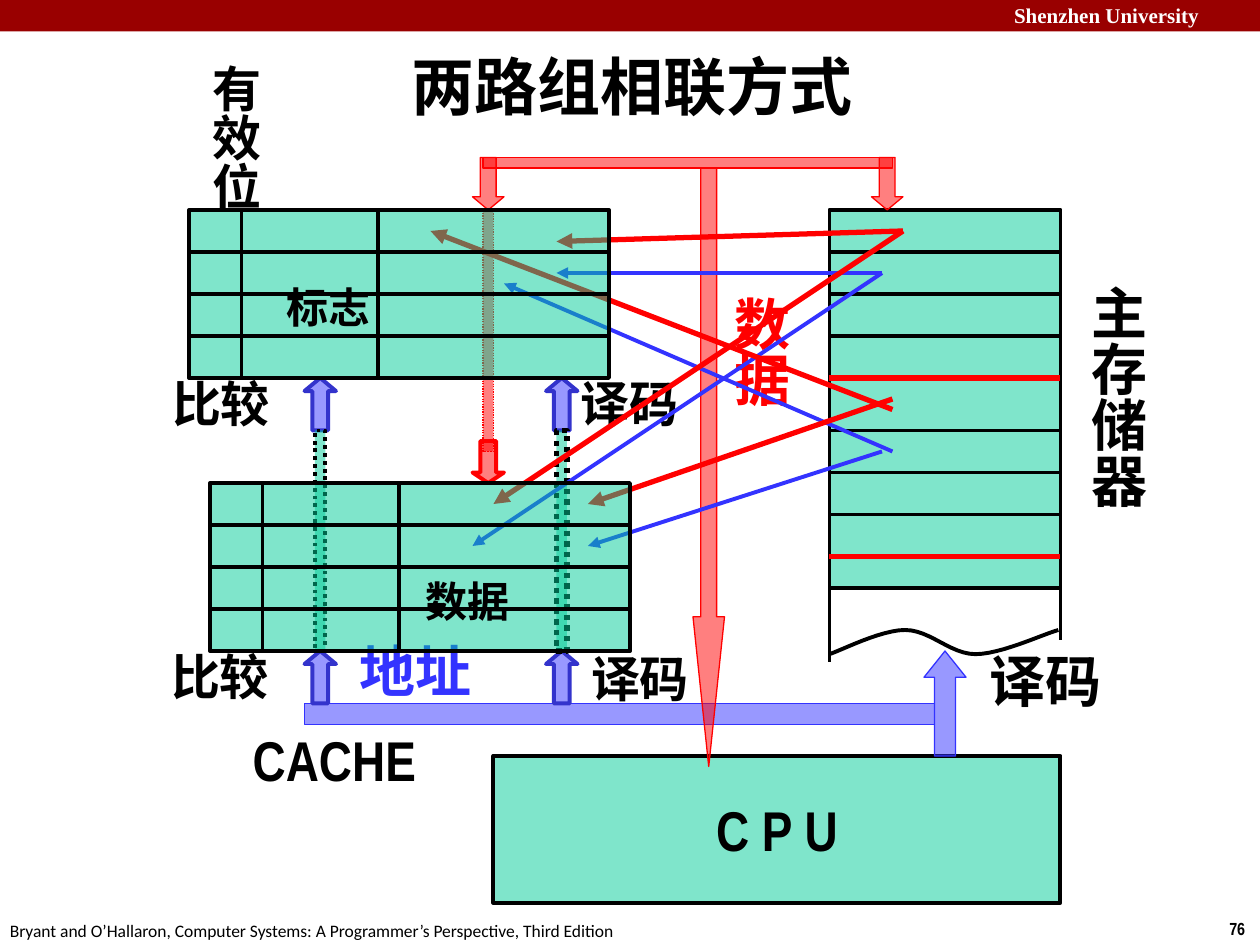
"""Build the slide on two-way set-associative cache mapping."""
import dataclasses

import pptx
import pptx.dml.color
import pptx.enum.dml
import pptx.enum.shapes
import pptx.enum.text
import pptx.oxml.ns
import pptx.util
from lxml import etree

SHAPE = pptx.enum.shapes.MSO_SHAPE
ALIGN = pptx.enum.text.PP_ALIGN
ANCHOR = pptx.enum.text.MSO_ANCHOR
FIT = pptx.enum.text.MSO_AUTO_SIZE
qn = pptx.oxml.ns.qn


@dataclasses.dataclass(frozen=True)
class Theme:
    ink: str = "000000"
    paper: str = "FFFFFF"
    banner: str = "990000"
    storage: str = "00CC99"
    address: str = "3333FF"
    address_edge: str = "3333CC"
    data: str = "FF0000"
    label_font: str = "Arial Narrow"
    body_font: str = "Calibri"
    banner_font: str = "Times New Roman"
    title: int = 36
    large: int = 32
    medium: int = 28
    small: int = 24
    banner_size: int = 12
    footer: int = 10
    hairline: float = 0.75
    rule: float = 2.25
    heavy: float = 3


class Diagram:
    columns, rows = 120, 90

    def __init__(self, deck, theme):
        self.theme = theme
        self.slide = deck.slides.add_slide(deck.slide_layouts[5])
        self.shapes = self.slide.shapes
        self.column = deck.slide_width / self.columns
        self.row = deck.slide_height / self.rows

    def point(self, x, y):
        return round(x * self.column), round(y * self.row)

    def area(self, x, y, width, height):
        return self.point(x, y) + self.point(width, height)

    def color(self, target, value):
        target.rgb = pptx.dml.color.RGBColor.from_string(value)

    def add_words(self, frame, words, size, color=None, font=None, bold=True, align=ALIGN.CENTER):
        paragraph = frame.paragraphs[0]
        paragraph.alignment = align
        run = paragraph.add_run()
        run.text = words
        run.font.size = pptx.util.Pt(size)
        run.font.name = font or self.theme.label_font
        run.font.bold = bold
        self.color(run.font.color, color or self.theme.ink)

    def title(self, words, area):
        heading = self.shapes.title
        heading.left, heading.top, heading.width, heading.height = self.area(*area)
        frame = heading.text_frame
        frame.auto_size = FIT.NONE
        frame.vertical_anchor = ANCHOR.MIDDLE
        self.add_words(frame, words, self.theme.title, font=self.theme.body_font, align=ALIGN.LEFT)

    def label(self, words, area, size, wrap=False, vertical=False, anchor=ANCHOR.MIDDLE, **style):
        frame = self.shapes.add_textbox(*self.area(*area)).text_frame
        frame.word_wrap = wrap
        frame.auto_size = FIT.SHAPE_TO_FIT_TEXT
        frame.vertical_anchor = anchor
        if vertical:
            frame._txBody.bodyPr.set("vert", "eaVert")
        self.add_words(frame, words, size, **style)

    def block(self, area, fill, edge=None, width=None, kind=SHAPE.RECTANGLE,
              head=None, dotted=False, opacity=50):
        shape = self.shapes.add_shape(kind, *self.area(*area))
        shape.shadow.inherit = False
        shape.fill.solid()
        self.color(shape.fill.fore_color, fill)
        if opacity < 100:
            tint = shape._element.spPr.find(qn("a:solidFill"))[0]
            etree.SubElement(tint, qn("a:alpha")).set("val", str(opacity * 1000))
        if edge:
            self.stroke(shape.line, edge, width or self.theme.rule)
        else:
            shape.line.fill.background()
        if dotted:
            shape.line.dash_style = pptx.enum.dml.MSO_LINE.ROUND_DOT
        if head is not None:
            shape.adjustments[0], shape.adjustments[1] = 0.5, head
        return shape

    def stroke(self, line, color, width):
        line.fill.solid()
        self.color(line.color, color)
        line.width = pptx.util.Pt(width)

    def line(self, start, end, color=None, width=None, arrow=False):
        straight = pptx.enum.shapes.MSO_CONNECTOR.STRAIGHT
        link = self.shapes.add_connector(straight, *self.point(*start), *self.point(*end))
        self.stroke(link.line, color or self.theme.ink, width or self.theme.rule)
        if arrow:
            outline = link._element.spPr.find(qn("a:ln"))
            etree.SubElement(outline, qn("a:tailEnd")).set("type", "triangle")
        etree.SubElement(link._element.spPr, qn("a:effectLst"))
        return link

    def curve(self, start, segments, steps=12):
        points, origin = [], start
        for first, second, end in segments:
            for step in range(1, steps + 1):
                t = step / steps
                weights = ((1 - t) ** 3, 3 * t * (1 - t) ** 2, 3 * t * t * (1 - t), t ** 3)
                corners = (origin, first, second, end)
                points.append(self.point(*(sum(w * c[axis] for w, c in zip(weights, corners))
                                           for axis in (0, 1))))
            origin = end
        builder = self.shapes.build_freeform(*self.point(*start))
        builder.add_line_segments(points, close=False)
        torn_edge = builder.convert_to_shape()
        torn_edge.shadow.inherit = False
        torn_edge.fill.background()
        self.stroke(torn_edge.line, self.theme.ink, self.theme.rule)

    def bank(self, left, top, width=40, height=16):
        frame = self.block((left, top, width, height), self.theme.storage, self.theme.ink)
        for y in range(4, height, 4):
            divider = self.line((left, top + y), (left + width, top + y))
            if y == height / 2:
                divider.begin_connect(frame, 1)
                divider.end_connect(frame, 3)
        for x in (5, 18):
            self.line((left + x, top), (left + x, top + height))


def draw_frame(diagram, theme):
    diagram.block((0, 0, 120, 3), theme.banner, opacity=100)
    diagram.label("Shenzhen University", (95.4, -0.36, 25.4, 3.6), theme.banner_size, wrap=True,
                  anchor=ANCHOR.TOP, color=theme.paper, font=theme.banner_font, align=ALIGN.LEFT)
    diagram.label("76", (115.9, 86.8, 4.1, 3.2), theme.footer, anchor=ANCHOR.TOP, align=ALIGN.LEFT)
    diagram.label("Bryant and O’Hallaron, Computer Systems: A Programmer’s Perspective, Third Edition",
                  (-0.24, 87, 61.1, 3.2), theme.footer, anchor=ANCHOR.TOP,
                  font=theme.body_font, bold=False, align=ALIGN.LEFT)
    diagram.title("两路组相联方式", (38, 3.1, 74, 10))


def draw_memory(diagram, theme):
    cpu = diagram.block((47, 72, 54, 14), theme.storage, theme.ink)
    cpu.text_frame.word_wrap = False
    cpu.text_frame.vertical_anchor = ANCHOR.MIDDLE
    diagram.add_words(cpu.text_frame, "C P U", theme.large)
    left, right, bottom = 79, 101, 56
    diagram.block((left, 20, right - left, bottom - 20), theme.storage, theme.ink)
    for group_top in (24, 41):
        for y in range(group_top, group_top + 12, 4):
            diagram.line((left, y), (right, y))
        diagram.line((left, group_top + 12), (right, group_top + 12), theme.data, theme.heavy)
    diagram.curve((left, 62.3), [((80.2, 61.9), (83.9, 60), (86.2, 60)),
                                 ((88.6, 60), (90.5, 62.3), (92.9, 62.3)),
                                 ((95.3, 62.3), (99.1, 60.5), (100.8, 60))])
    diagram.line((left, bottom), (left, 63))
    diagram.line((right, bottom), (right, 61))
    diagram.label("数据", (68, 27, 8.8, 12), theme.large, vertical=True, color=theme.data)
    diagram.label("主存储器", (102, 26, 8.8, 22.7), theme.large, vertical=True)
    diagram.label("CACHE", (21, 68.5, 21.7, 7.6), theme.large, wrap=True)


def draw_address_path(diagram, theme):
    blue = theme.address
    diagram.block((88, 62, 4, 10), blue, blue, theme.hairline, SHAPE.UP_ARROW, 0.625)
    diagram.block((29, 67, 60, 2), blue, blue, theme.hairline)
    for y in (62, 36):
        for x in (29, 52):
            diagram.block((x, y, 3, 5), blue, theme.address_edge, theme.rule, SHAPE.UP_ARROW, 0.417)
    for x, width in ((30, theme.rule), (53, theme.heavy)):
        diagram.block((x, 41, 1, 21), theme.storage, theme.ink, width, dotted=True)
    diagram.label("地址", (33, 60, 13.2, 7.6), theme.large, color=blue)
    diagram.label("译码", (93, 61, 13.2, 7.6), theme.large)
    for words, x, y in (("比较", 15.1, 35), ("比较", 15, 61), ("译码", 54, 35), ("译码", 55, 61.2)):
        diagram.label(words, (x, y, 11.9, 6.8), theme.medium)


def draw_data_path(diagram, theme):
    red = theme.data
    for area, head, width in (((45, 15, 3, 5), 0.417, theme.hairline),
                              ((83, 15, 3, 5), 0.417, theme.hairline),
                              ((66, 16, 3, 57), 4.75, theme.hairline),
                              ((45, 42, 3, 4), 0.333, theme.rule)):
        diagram.block(area, red, red, width, SHAPE.DOWN_ARROW, head)
    diagram.block((46, 15, 39, 1), red, red, theme.hairline)
    diagram.block((46, 20, 1, 23), red, red, theme.hairline, dotted=True)
    mappings = {
        (theme.address, theme.rule): (((84, 26), (53, 26)), ((84, 26), (45, 52)),
                                      ((85, 43), (48, 27)), ((84, 43), (56, 52))),
        (red, theme.heavy): (((86, 22), (53, 23)), ((86, 22), (47, 48)),
                             ((85, 39), (41, 22)), ((85, 38), (56, 48))),
    }
    for (color, width), routes in mappings.items():
        for start, end in routes:
            diagram.line(start, end, color, width, arrow=True)


def draw_cache(diagram, theme):
    diagram.bank(18, 20)
    diagram.label("有效位", (18.4, 5, 8, 15.4), theme.medium, vertical=True)
    diagram.label("标志", (26, 26.2, 10.6, 6), theme.small)
    diagram.bank(20, 46)
    diagram.label("数据", (39.2, 54.2, 10.6, 6), theme.small)


def main():
    deck = pptx.Presentation()
    deck.slide_width, deck.slide_height = pptx.util.Inches(10), pptx.util.Inches(7.5)
    theme = Theme()
    diagram = Diagram(deck, theme)
    for draw in (draw_frame, draw_memory, draw_address_path, draw_data_path, draw_cache):
        draw(diagram, theme)
    deck.save("out.pptx")


if __name__ == "__main__":
    main()
